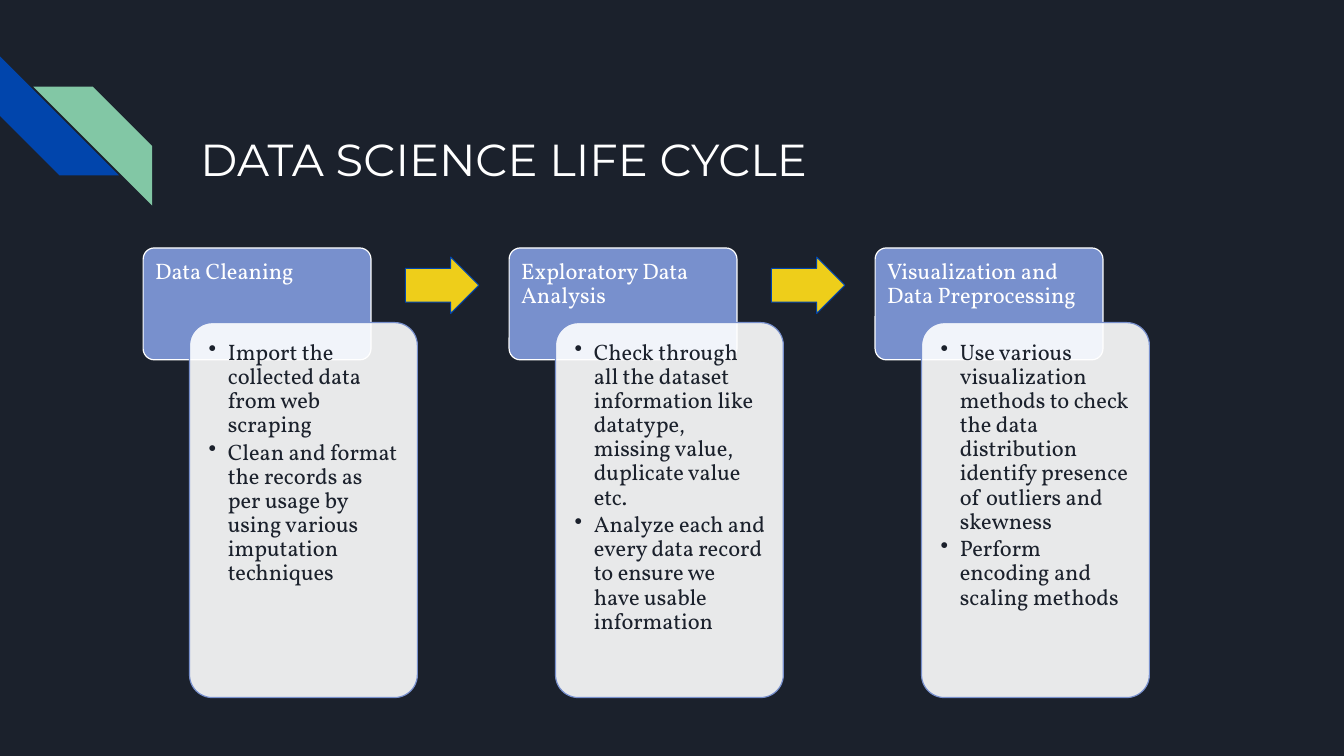
import dataclasses

import lxml.etree
import pptx
import pptx.dml.color
import pptx.enum.shapes
import pptx.enum.text
import pptx.oxml.ns
import pptx.util

Inches = pptx.util.Inches
Pt = pptx.util.Pt
Shapes = pptx.enum.shapes.MSO_SHAPE
Anchor = pptx.enum.text.MSO_ANCHOR
qualified = pptx.oxml.ns.qn


@dataclasses.dataclass(frozen=True)
class Theme:
    background: str = "1B212C"
    white: str = "FFFFFF"
    periwinkle: str = "7890CD"
    blue: str = "0145AC"
    green: str = "82C7A5"
    yellow: str = "EECE1A"
    heading_font: str = "Montserrat"
    body_font: str = "Vollkorn"
    title_size: float = 32
    body_size: float = 16


THEME = Theme()
FIRST_LEFT = 1.42
STAGE_STEP = 3.63
STAGES = [
    ("Data Cleaning", [
        "Import the collected data from web scraping",
        "Clean and format the records as per usage by using various imputation techniques",
    ]),
    ("Exploratory Data Analysis", [
        "Check through all the dataset information like datatype, missing value, duplicate value etc.",
        "Analyze each and every data record to ensure we have usable information",
    ]),
    ("Visualization and Data Preprocessing", [
        "Use various visualization methods to check the data distribution identify presence of outliers and skewness",
        "Perform encoding and scaling methods",
    ]),
]


def rgb(color):
    return pptx.dml.color.RGBColor.from_string(color)


def add_bullet(paragraph, color):
    properties = paragraph._p.get_or_add_pPr()
    properties.set("marL", str(Inches(0.19)))
    properties.set("indent", str(Inches(-0.19)))
    bullet_color = lxml.etree.SubElement(properties, qualified("a:buClr"))
    lxml.etree.SubElement(bullet_color, qualified("a:srgbClr"), val=color)
    lxml.etree.SubElement(properties, qualified("a:buChar"), char="•")


def add_text(slide, texts, box, font=THEME.body_font, size=THEME.body_size, color=THEME.white,
             insets=(0.12, 0.12, 0.12, 0.12), anchor=Anchor.TOP, bullets=False):
    frame = slide.shapes.add_textbox(*map(Inches, box)).text_frame
    frame.word_wrap = True
    frame.vertical_anchor = anchor
    frame.margin_left, frame.margin_top, frame.margin_right, frame.margin_bottom = map(Inches, insets)
    for index, text in enumerate(texts):
        paragraph = frame.add_paragraph() if index else frame.paragraphs[0]
        if bullets:
            paragraph.level = 1
            add_bullet(paragraph, color)
        paragraph.line_spacing = 0.9
        paragraph.space_before = Pt(2.4 if index else 0)
        run = paragraph.add_run()
        run.text = text
        run.font.name = font
        run.font.size = Pt(size)
        run.font.color.rgb = rgb(color)


def add_panel(slide, kind, box, fill, line=None, line_width=0.85, adjustments=(), rotation=0, opacity=100):
    shape = slide.shapes.add_shape(kind, *map(Inches, box))
    shape.shadow.inherit = False
    shape.rotation = rotation
    for index, value in enumerate(adjustments):
        shape.adjustments[index] = value
    shape.fill.solid()
    shape.fill.fore_color.rgb = rgb(fill)
    if opacity < 100:
        fill_color = shape._element.spPr.find(qualified("a:solidFill"))[0]
        lxml.etree.SubElement(fill_color, qualified("a:alpha"), val=str(opacity * 1000))
    if line:
        shape.line.color.rgb = rgb(line)
        shape.line.width = Pt(line_width)
    else:
        shape.line.fill.background()


def add_stage(slide, left, heading, points):
    add_panel(slide, Shapes.ROUNDED_RECTANGLE, (left, 2.46, 2.26, 1.11), THEME.periwinkle,
              line=THEME.white, adjustments=[0.1])
    add_text(slide, [heading], (left, 2.46, 2.26, 0.74), insets=(0.12, 0.12, 0.12, 0.07))
    add_panel(slide, Shapes.ROUNDED_RECTANGLE, (left + 0.46, 3.2, 2.26, 3.72), THEME.white,
              line=THEME.periwinkle, adjustments=[0.1], opacity=90)
    add_text(slide, points, (left + 0.53, 3.26, 2.13, 3.59), color=THEME.background, bullets=True)


def add_stage_arrow(slide, left):
    add_panel(slide, Shapes.RIGHT_ARROW, (left + 2.6, 2.55, 0.73, 0.56), THEME.yellow,
              line=THEME.blue, line_width=0.75, adjustments=[0.6, 0.5])


def main():
    presentation = pptx.Presentation()
    presentation.slide_width = Inches(13.33)
    presentation.slide_height = Inches(7.5)
    slide = presentation.slides.add_slide(presentation.slide_layouts[6])
    slide.background.fill.solid()
    slide.background.fill.fore_color.rgb = rgb(THEME.background)

    add_panel(slide, Shapes.DIAGONAL_STRIPE, (0, 0.56, 1.18, 1.18), THEME.blue, adjustments=[0.5], rotation=270)
    add_panel(slide, Shapes.DIAGONAL_STRIPE, (0.33, 0.86, 1.18, 1.18), THEME.green, adjustments=[0.5], rotation=90)
    add_text(slide, ["DATA SCIENCE LIFE CYCLE"], (1.89, 0.57, 10.26, 1.33), font=THEME.heading_font,
             size=THEME.title_size, insets=(0.1, 0.05, 0.1, 0.05), anchor=Anchor.BOTTOM)

    for index, (heading, points) in enumerate(STAGES):
        left = FIRST_LEFT + index * STAGE_STEP
        add_stage(slide, left, heading, points)
        if index < len(STAGES) - 1:
            add_stage_arrow(slide, left)

    presentation.save("out.pptx")


if __name__ == "__main__":
    main()
